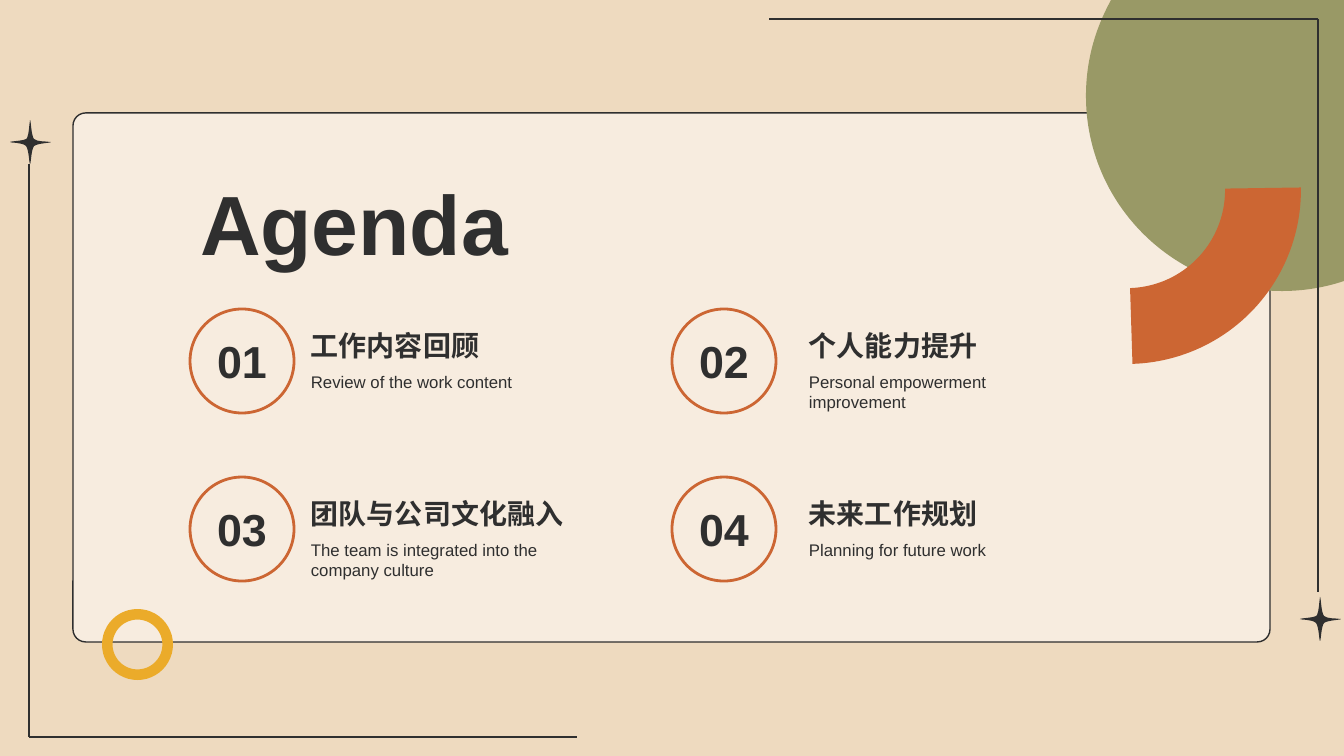
from lxml import etree
from pptx import Presentation
from pptx.dml.color import RGBColor
from pptx.enum.shapes import MSO_CONNECTOR, MSO_SHAPE
from pptx.enum.text import MSO_ANCHOR, MSO_AUTO_SIZE, PP_ALIGN
from pptx.oxml.ns import qn
from pptx.util import Emu, Pt

ROUND, DONUT, ARC = MSO_SHAPE.ROUNDED_RECTANGLE, MSO_SHAPE.DONUT, MSO_SHAPE.BLOCK_ARC
TOP, MIDDLE, BOTTOM = MSO_ANCHOR.TOP, MSO_ANCHOR.MIDDLE, MSO_ANCHOR.BOTTOM
LEFT, CENTER = PP_ALIGN.LEFT, PP_ALIGN.CENTER
PX = 914400 / 100.8
HEX = {"sand": "EEDABF", "cream": "F7ECDF", "ink": "2F2F2F",
       "gold": "EBAB2A", "olive": "999966", "rust": "CC6633"}
COLOR = {name: RGBColor.from_string(code) for name, code in HEX.items()}


def style(shape, fill=None, line=None, width=1):
    shape.shadow.inherit = False
    if fill:
        shape.fill.solid()
        shape.fill.fore_color.rgb = COLOR[fill]
    else:
        shape.fill.background()
    if line:
        shape.line.color.rgb = COLOR[line]
        shape.line.width = Pt(width)
    else:
        shape.line.fill.background()


def outline(points, straight, fill, left=0, top=0):
    """Draw straight edges first, then join each three points into one curve."""
    spots = [((left + x) * PX, (top + y) * PX) for x, y in points]
    pen = slide.shapes.build_freeform(*map(round, spots[0]), scale=1.0)
    pen.add_line_segments(spots[1:], close=True)
    shape = pen.convert_to_shape()
    edges = list(shape._element.iter(qn("a:lnTo")))[straight:]
    for k in range(0, len(edges), 3):
        curve = etree.Element(qn("a:cubicBezTo"))
        edges[k].addprevious(curve)
        for edge in edges[k:k + 3]:
            curve.append(edge[0])
            edge.getparent().remove(edge)
    style(shape, fill)
    return shape


deck = Presentation()
deck.slide_width, deck.slide_height = Emu(round(1344 * PX)), Emu(round(756 * PX))
slide = deck.slides.add_slide(deck.slide_layouts[5])
slide.background.fill.solid()
slide.background.fill.fore_color.rgb = COLOR["sand"]
shapes = slide.shapes

# Panel and ring
for kind, box, adj, fill, line in [
    (ROUND, (73, 113, 1197, 529), 0.024, "cream", "ink"),
    (DONUT, (102, 609, 71, 71), 0.149, "gold", None),
]:
    shape = shapes.add_shape(kind, *[Emu(round(v * PX)) for v in box])
    shape.adjustments[0] = adj
    style(shape, fill, line)

# Olive disc, cut off by the slide corner
DISC = [(1111, 0), (1344, 0), (1344, 281), (1341, 282),
        (1322, 288), (1302, 291), (1282, 291),
        (1174, 291), (1086, 204), (1086, 96),
        (1086, 61), (1095, 30), (1110, 2)]
outline(DISC, 3, "olive")

# Rust arc
arc = shapes.add_shape(ARC, *[Emu(round(v * PX)) for v in (953, 16, 348, 348)])
for i, adj in enumerate((215.506, 52.91, 0.218)):
    arc.adjustments[i] = adj
style(arc, "rust")

# Frame lines
for ends in [(29, 737, 29, 164), (29, 737, 577, 737),
             (1318, 19, 1318, 592), (1318, 19, 769, 19)]:
    line = shapes.add_connector(MSO_CONNECTOR.STRAIGHT,
                                *[Emu(round(v * PX)) for v in ends])
    line.line.color.rgb = COLOR["ink"]
    line.line.width = Pt(1)
    etree.SubElement(line._element.spPr, qn("a:effectLst"))

# Stars
STAR = [(41, 22),
        (41, 21), (29, 22), (25, 18), (22, 14), (22, 1), (21, 0),
        (20, 0), (20, 14), (17, 18), (13, 21), (0, 21), (0, 22),
        (6, 23), (13, 22), (17, 25), (20, 29), (20, 44), (21, 44),
        (22, 38), (22, 30), (24, 26), (25, 23), (41, 23), (41, 22)]
for left, top in [(1300, 597), (10, 120)]:
    outline(STAR, 0, "ink", left, top).rotation = 180

# Agenda items, two by two
ITEMS = [
    ("工作内容回顾", "Review of the work content"),
    ("个人能力提升", "Personal empowerment improvement"),
    ("团队与公司文化融入", "The team is integrated into the company culture"),
    ("未来工作规划", "Planning for future work"),
]
texts = []
for i, (head, note) in enumerate(ITEMS):
    row, col = divmod(i, 2)
    down = 168 * row
    box = (190 + 482 * col, 309 + down, 104, 104)
    badge = shapes.add_shape(ROUND, *[Emu(round(v * PX)) for v in box])
    badge.adjustments[0] = 0.5
    style(badge, None, "rust", 2)
    texts.append((badge, f"{i + 1:02d}", 32, True, MIDDLE, CENTER))
    for text, top, high, size, bold, anchor in [
        (head, 304, 63, 20, True, BOTTOM),
        (note, 367, 75, 12, False, TOP),
    ]:
        box = (301 + 498 * col, top + down, 287, high)
        label = shapes.add_textbox(*[Emu(round(v * PX)) for v in box])
        texts.append((label, text, size, bold, anchor, LEFT))

# Title, brought to the front
title = shapes.title
title.left, title.top, title.width, title.height = [
    Emu(round(v * PX)) for v in (190, 142, 850, 135)]
shapes._spTree.append(title._element)
texts.append((title, "Agenda", 60, True, BOTTOM, LEFT))

# Wording
for shape, text, size, bold, anchor, align in texts:
    frame = shape.text_frame
    frame.text = text
    frame.word_wrap = align == LEFT
    frame.auto_size = MSO_AUTO_SIZE.NONE
    frame.vertical_anchor = anchor
    para = frame.paragraphs[0]
    para.alignment = align
    para.line_spacing = 1.0
    font = para.runs[0].font
    font.name, font.size, font.bold = "Arial", Pt(size), bold
    font.color.rgb = COLOR["ink"]

deck.save("out.pptx")
